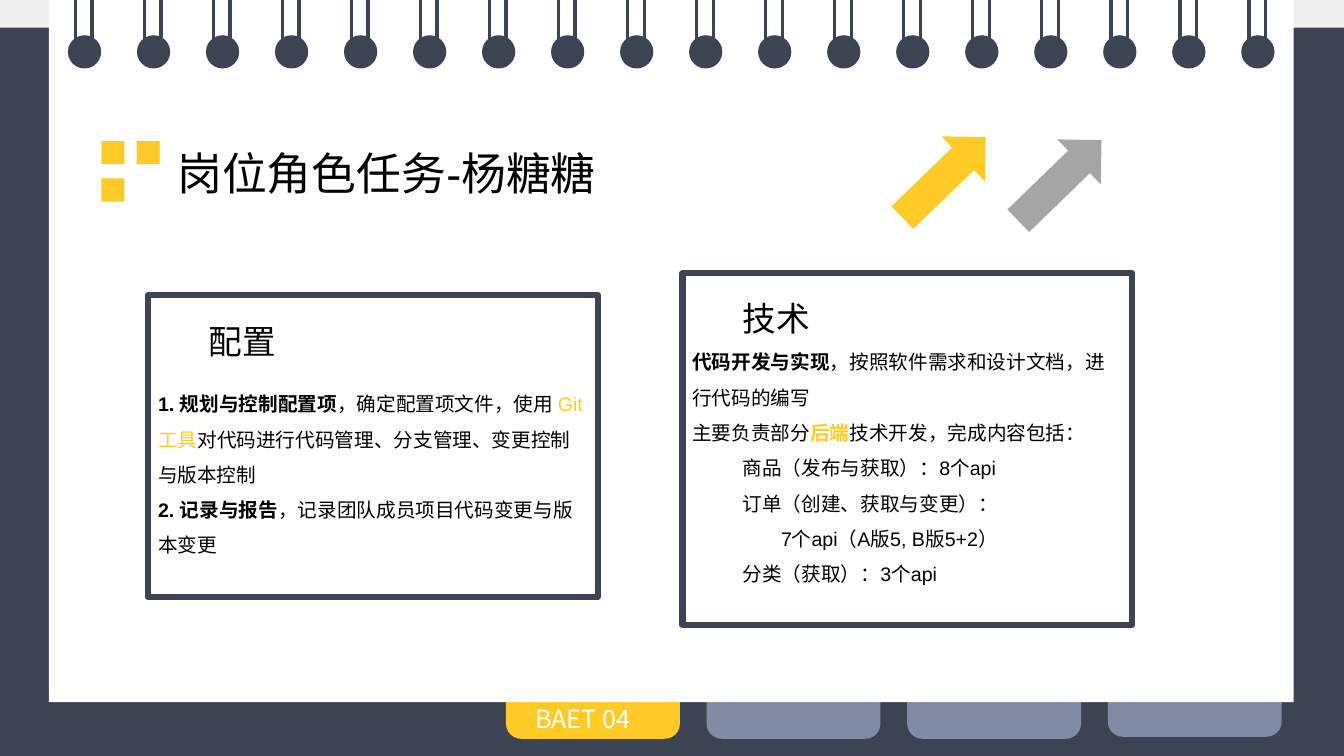
from lxml import etree
from pptx import Presentation
from pptx import util as u
from pptx.dml.color import RGBColor
from pptx.enum import shapes, text
from pptx.oxml.ns import qn

# The slide is a grid of square cells, ten to the inch.
CELL = u.Inches(0.1)
COLUMNS, ROWS = 133.33, 75
COLORS = {"navy": "3C4353", "slate": "818BA5", "yellow": "FFCA25",
          "pale": "EFEFEF", "gray": "A5A5A5", "white": "FFFFFF", "black": "000000"}
LATIN, CJK = "Arial", "Noto Sans CJK SC"
KIND = shapes.MSO_SHAPE


def cells(*counts):
    return [round(count * CELL) for count in counts]


def color(name):
    return RGBColor.from_string(COLORS[name])


def add_block(page, kind, box, fill=None):
    block = page.shapes.add_shape(kind, *cells(*box))
    block.shadow.inherit = False
    block.line.fill.background()
    if fill:
        block.fill.solid()
        block.fill.fore_color.rgb = color(fill)
    else:
        block.fill.background()
    return block


def add_span(para, words, size, ink="black", bold=False, font=LATIN):
    span = para.add_run()
    span.text = words
    span.font.size = u.Pt(size)
    span.font.name = font
    span.font.bold = bold
    span.font.color.rgb = color(ink)
    etree.SubElement(span.font._element, qn("a:ea"), typeface=CJK)


def add_label(page, box, words, size, ink, font):
    label = page.shapes.add_textbox(*cells(*box))
    label.text_frame.word_wrap = True
    add_span(label.text_frame.paragraphs[0], words, size, ink, font=font)


def draw_tabs(page, box):
    """Index tabs below the sheet; the first one is the current chapter."""
    left, top, width, height = box
    pitch = 19.9
    for index, (fill, lift) in enumerate(
            [("yellow", 0), ("slate", 0), ("slate", 0), ("slate", 0.2)]):
        add_block(page, KIND.ROUNDED_RECTANGLE,
                  (left + index * pitch, top - lift, width, height), fill)
    add_label(page, (left + 1.9, top + 4.95, width - 4, 4), "BAET 04", 18, "white", CJK)


def draw_notebook(page, box):
    """White sheet with a row of binder rings along its top edge."""
    left, top, width, height = box
    add_block(page, KIND.RECTANGLE, box, "white")
    count, size, margin = 18, 3.3, 1.9
    pitch = (width - 2 * margin - size) / (count - 1)
    for index in range(count):
        ring = left + margin + index * pitch
        add_block(page, KIND.OVAL, (ring, top + 3.5, size, size), "navy")
        for wire in (ring + 0.75, ring + 2.4):
            line = page.shapes.add_connector(
                shapes.MSO_CONNECTOR.STRAIGHT, *cells(wire, top, wire, top + 5.1))
            line.line.color.rgb = color("navy")
            line.line.width = u.Pt(2.5)
            etree.SubElement(line._element.spPr, qn("a:effectLst"))


def draw_heading(page, box, words):
    left, top, width, height = box
    for column, row in ((0, 0), (1, 0), (0, 1)):
        add_block(page, KIND.RECTANGLE,
                  (left + column * 3.5, top + row * 3.7, 2.3, 2.3), "yellow")
    add_label(page, (left + 6.55, top, width - 6.55, height), words, 32, "black", LATIN)


def draw_arrows(page, box):
    left, top, width, height = box
    for index, fill in enumerate(("yellow", "gray")):
        arrow = add_block(page, KIND.RIGHT_ARROW,
                          (left + index * width, top + index * 0.3, width, height), fill)
        arrow.rotation = 315.9


def draw_card(page, box, title, body, gap=0):
    """Framed card; body lists (first-line indent in cells, spans)."""
    card = add_block(page, KIND.RECTANGLE, box)
    card.line.color.rgb = color("navy")
    card.line.width = u.Pt(4.5)
    etree.SubElement(card.line._ln, qn("a:round"))
    frame = card.text_frame
    frame.word_wrap = True
    frame.vertical_anchor = text.MSO_ANCHOR.TOP
    lines = [(5, [(title, 24)])]
    lines += [(indent, [(words, 14, *look) for words, *look in spans])
              for indent, spans in body]
    for index, (indent, spans) in enumerate(lines):
        para = frame.add_paragraph() if index else frame.paragraphs[0]
        para.alignment = text.PP_ALIGN.LEFT
        para.line_spacing = 1.5
        if index == 1:
            para.space_before = u.Pt(gap)
        properties = para._p.get_or_add_pPr()
        properties.set("marL", "0")
        properties.set("indent", str(cells(indent)[0]))
        for span in spans:
            add_span(para, *span)


SETUP = [
    (0, [("1. 规划与控制配置项", "black", True), ("，确定配置项文件，使用 ",),
         ("Git 工具", "yellow"), ("对代码进行代码管理、分支管理、变更控制与版本控制",)]),
    (0, [("2. 记录与报告", "black", True), ("，记录团队成员项目代码变更与版本变更",)]),
]
TECHNOLOGY = [
    (0, [("代码开发与实现", "black", True), ("，按照软件需求和设计文档，进行代码的编写",)]),
    (0, [("主要负责部分",), ("后端", "yellow", True), ("技术开发，完成内容包括：",)]),
    (5, [("商品（发布与获取）：8个api",)]),
    (5, [("订单（创建、获取与变更）：",)]),
    (8.8, [("7个api（A版5, B版5+2）",)]),
    (5, [("分类（获取）：3个api",)]),
]


def main():
    deck = Presentation()
    deck.slide_width, deck.slide_height = cells(COLUMNS, ROWS)
    page = deck.slides.add_slide(deck.slide_layouts[6])
    add_block(page, KIND.RECTANGLE, (0, 0, COLUMNS, ROWS), "navy")
    add_block(page, KIND.RECTANGLE, (0, 0, COLUMNS, 2.74), "pale")
    draw_tabs(page, (50.2, 64.3, 17.25, 9))
    draw_notebook(page, (4.84, 0, 123.5, 69.66))
    draw_heading(page, (10.05, 14, 56.5, 6.4), "岗位角色任务-杨糖糖")
    draw_arrows(page, (87.9, 14.5, 11.5, 6.2))
    draw_card(page, (14.7, 29.3, 44.6, 29.9), "配置", SETUP, gap=14)
    draw_card(page, (67.7, 27.1, 44.6, 34.9), "技术", TECHNOLOGY)
    deck.save("out.pptx")


if __name__ == "__main__":
    main()
